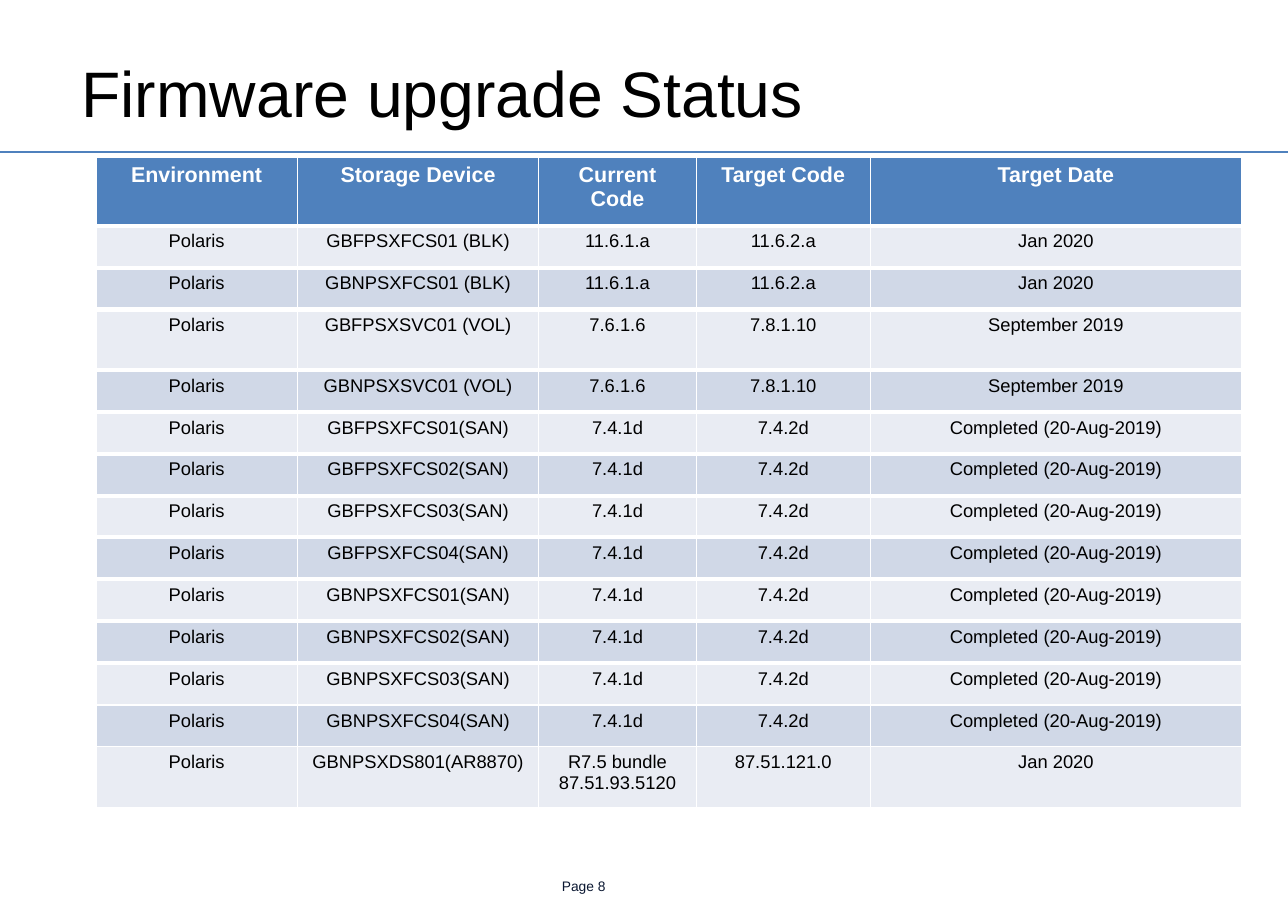
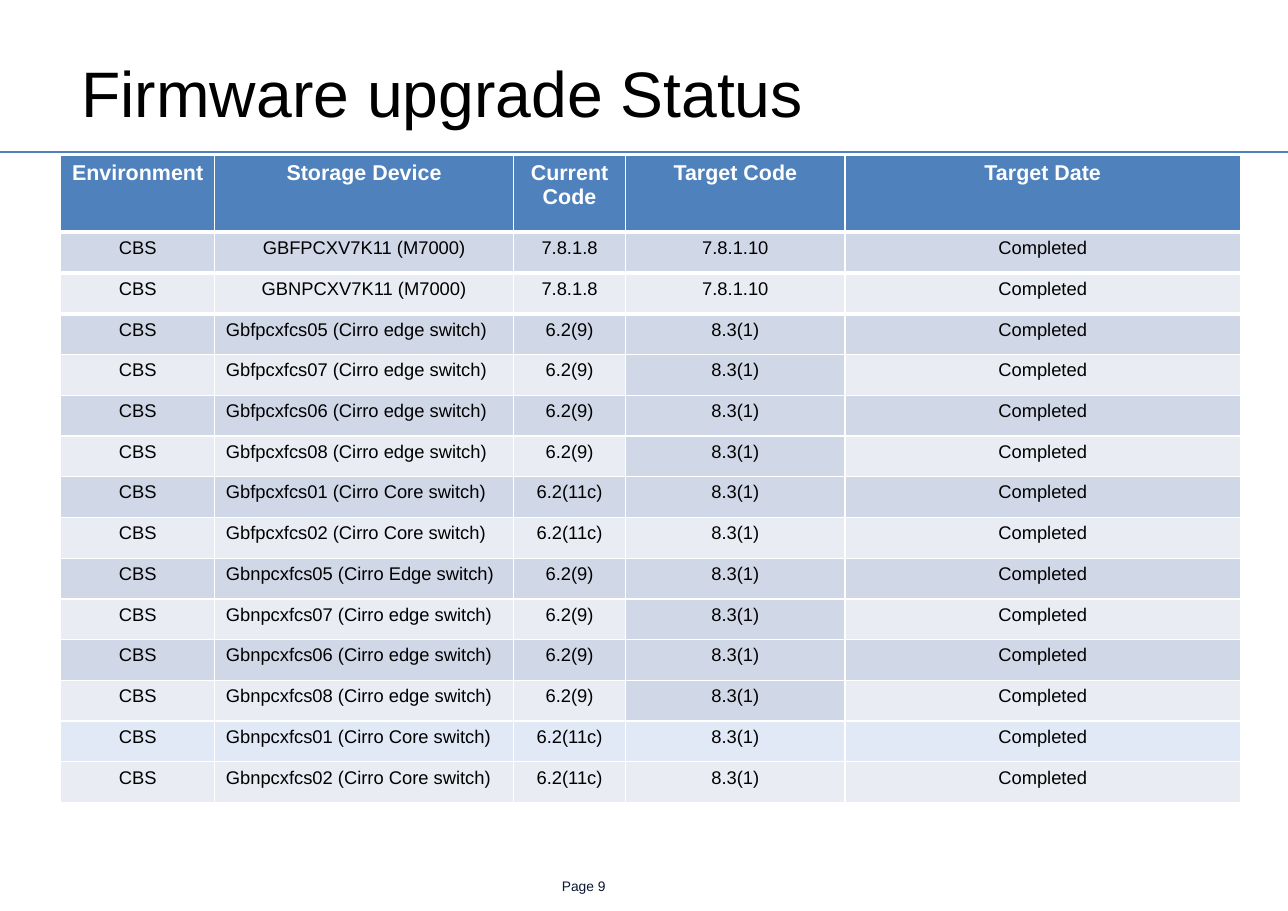
"""Build the two firmware upgrade status slides."""
from dataclasses import dataclass, field

from lxml import etree
from pptx import Presentation
from pptx import util as u
from pptx.dml.color import RGBColor
from pptx.enum import shapes, text
from pptx.oxml.ns import qn

WIDTH, HEIGHT = 11.69, 8.27
FONT = "Arial"
BLUE, WHITE, BLACK, NAVY = "4F81BD", "FFFFFF", "000000", "0A1731"
PALE, MID, SKY = "E9ECF3", "D0D8E7", "E1E8F6"
THIN, THICK = 0.96, 3
RULE_Y = 1.38
TITLE = "Firmware upgrade Status"
HEADERS = ("Environment", "Storage Device", "Current Code", "Target Code", "Target Date")
TARGET_CODE = HEADERS.index("Target Code")
DEVICE = HEADERS.index("Storage Device")

Row = tuple[str, str, str]


@dataclass
class StatusTable:
    """Status table of one environment, with its place and row styling."""
    page: int
    environment: str
    left: float
    top: float
    columns: tuple[float, ...]
    header_height: float
    row_height: float
    rows: list[tuple[str, ...]]
    bands: tuple[str, str]
    thick_rules: int
    tall_rows: dict[int, float] = field(default_factory=dict)
    row_fills: dict[int, str] = field(default_factory=dict)
    dark_targets: tuple[int, ...] = ()
    left_aligned_from: int = 99

    def height(self, row: int) -> float:
        """Return the height of a row."""
        return self.tall_rows.get(row, self.row_height) if row else self.header_height

    def fill(self, row: int, col: int) -> str:
        """Return the fill of a cell."""
        if row == 0:
            return BLUE
        if col == TARGET_CODE and row in self.dark_targets:
            return MID
        return self.row_fills.get(row, self.bands[(row - 1) % 2])


def rgb(value: str) -> RGBColor:
    """Turn a hex string into a colour."""
    return RGBColor.from_string(value)


def add_run(p, words: str, size: float, color: str, bold: bool = False) -> None:
    """Add one styled run to a paragraph."""
    r = p.add_run()
    r.text = words
    r.font.name, r.font.size, r.font.bold = FONT, u.Pt(size), bold
    r.font.color.rgb = rgb(color)


def add_text(s, box: tuple[float, ...], words: str, size: float, color: str,
             anchor, spacing: float = 1.0) -> None:
    """Add a one-line text box without margins."""
    tf = s.shapes.add_textbox(*map(u.Inches, box)).text_frame
    tf.word_wrap, tf.vertical_anchor = True, anchor
    tf.margin_left = tf.margin_top = tf.margin_right = tf.margin_bottom = 0
    p = tf.paragraphs[0]
    p.line_spacing = spacing
    add_run(p, words, size, color)


def add_rule(s) -> None:
    """Draw the rule under the title."""
    sp = s.shapes.add_connector(shapes.MSO_CONNECTOR.STRAIGHT, 0, u.Inches(RULE_Y),
                                u.Inches(WIDTH), u.Inches(RULE_Y))
    sp.line.color.rgb, sp.line.width = rgb(BLUE), u.Pt(0.75)
    etree.SubElement(sp._element.spPr, qn("a:effectLst"))


def set_borders(cell, top: float, bottom: float) -> None:
    """Give a cell white borders, thin at the sides."""
    tc_pr = cell._tc.get_or_add_tcPr()
    for side, width in (("L", THIN), ("R", THIN), ("T", top), ("B", bottom)):
        ln = etree.SubElement(tc_pr, qn(f"a:ln{side}"), w=str(u.Pt(width)))
        fill = etree.SubElement(ln, qn("a:solidFill"))
        etree.SubElement(fill, qn("a:srgbClr"), val=WHITE)


def add_status_table(s, t: StatusTable) -> None:
    """Draw a status table."""
    lines = [HEADERS] + [(t.environment, *row) for row in t.rows]
    heights = [t.height(i) for i in range(len(lines))]
    table = s.shapes.add_table(
        len(lines), len(HEADERS), u.Inches(t.left), u.Inches(t.top),
        u.Inches(sum(t.columns)), u.Inches(sum(heights))).table
    table.horz_banding = False
    for column, width in zip(table.columns, t.columns):
        column.width = u.Inches(width)
    for i, line in enumerate(lines):
        table.rows[i].height = u.Inches(heights[i])
        top = THICK if 0 < i <= t.thick_rules else THIN
        bottom = THICK if i < t.thick_rules else THIN
        for j, words in enumerate(line):
            cell = table.cell(i, j)
            set_borders(cell, top, bottom)
            cell.fill.solid()
            cell.fill.fore_color.rgb = rgb(t.fill(i, j))
            p = cell.text_frame.paragraphs[0]
            flush = j == DEVICE and i >= t.left_aligned_from
            p.alignment = text.PP_ALIGN.LEFT if flush else text.PP_ALIGN.CENTER
            if i == 0:
                add_run(p, words, 14, WHITE, True)
            else:
                add_run(p, words, 12, BLACK)


def add_status_slide(prs, t: StatusTable) -> None:
    """Add a slide with rule, page number, title and table."""
    s = prs.slides.add_slide(prs.slide_layouts[6])
    add_rule(s)
    add_text(s, (5.1, 7.97, 0.74, 0.15), f"Page {t.page}", 9, NAVY, text.MSO_ANCHOR.BOTTOM)
    add_text(s, (0.74, 0.55, 10.53, 0.68), TITLE, 42, BLACK, text.MSO_ANCHOR.MIDDLE, 0.85)
    add_status_table(s, t)


def san_rows() -> list[Row]:
    """List the SAN switches of both sites."""
    return [(f"{site}PSXFCS{n:02}(SAN)", "7.4.1d", "7.4.2d", "Completed (20-Aug-2019)")
            for site in ("GBF", "GBN") for n in range(1, 5)]


def switch_rows() -> list[Row]:
    """List the edge and core switches of both sites."""
    rows = []
    for site, first_edge in (("Gbf", "Edge".lower()), ("Gbn", "Edge")):
        for n, kind, code in ((5, first_edge, "6.2(9)"), (7, "edge", "6.2(9)"),
                              (6, "edge", "6.2(9)"), (8, "edge", "6.2(9)"),
                              (1, "Core", "6.2(11c)"), (2, "Core", "6.2(11c)")):
            rows.append((f"{site}pcxfcs{n:02} (Cirro {kind} switch)", code, "8.3(1)", "Completed"))
    return rows


TABLES = (
    StatusTable(
        page=8, environment="Polaris", left=0.87, top=1.43,
        columns=(1.83, 2.19, 1.43, 1.58, 3.37), header_height=0.62, row_height=0.38,
        rows=[("GBFPSXFCS01 (BLK)", "11.6.1.a", "11.6.2.a", "Jan 2020"),
              ("GBNPSXFCS01 (BLK)", "11.6.1.a", "11.6.2.a", "Jan 2020"),
              ("GBFPSXSVC01 (VOL)", "7.6.1.6", "7.8.1.10", "September 2019"),
              ("GBNPSXSVC01 (VOL)", "7.6.1.6", "7.8.1.10", "September 2019"),
              *san_rows(),
              ("GBNPSXDS801(AR8870)", "R7.5 bundle 87.51.93.5120", "87.51.121.0", "Jan 2020")],
        bands=(PALE, MID), thick_rules=11, tall_rows={3: 0.55, 13: 0.55}),
    StatusTable(
        page=9, environment="CBS", left=0.55, top=1.41,
        columns=(1.4, 2.71, 1.02, 1.99, 3.59), header_height=0.7, row_height=0.37,
        rows=[("GBFPCXV7K11 (M7000)", "7.8.1.8", "7.8.1.10", "Completed"),
              ("GBNPCXV7K11 (M7000)", "7.8.1.8", "7.8.1.10", "Completed"),
              *switch_rows()],
        bands=(MID, PALE), thick_rules=3, row_fills={13: SKY},
        dark_targets=(4, 6, 10, 12), left_aligned_from=3),
)


def main() -> None:
    """Build and save the presentation."""
    prs = Presentation()
    prs.slide_width, prs.slide_height = u.Inches(WIDTH), u.Inches(HEIGHT)
    for t in TABLES:
        add_status_slide(prs, t)
    prs.save("out.pptx")


if __name__ == "__main__":
    main()
